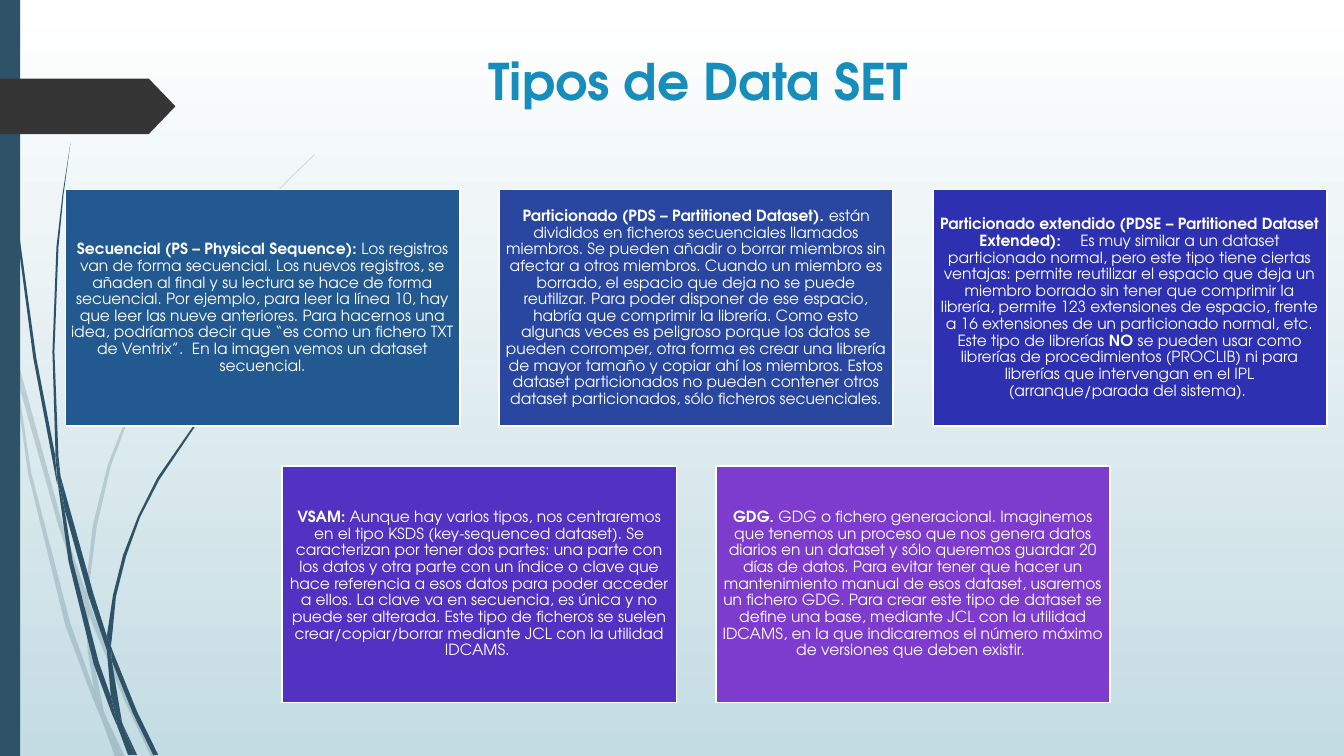
from lxml import etree
from pptx import Presentation, util as u
from pptx.dml.color import RGBColor
from pptx.enum import shapes, text
from pptx.oxml.ns import qn

HUES = {"top": "FFFFFF", "base": "C4DCE3", "stem": "2E5369", "arrow": "353535",
        "title": "168DBA", "white": "FFFFFF", "ps": "235991", "pds": "2947A0",
        "pdse": "2D30B1", "vsam": "5132C2", "gdg": "7D3CCD"}

PALE = [
    [(0.11, 3.5), (0.09, 3.22), (0, 2.82), (0, 2.99), (0.1, 3.44)],
    [(0.58, 5.22), (0.84, 5.99), (0.85, 5.86), (0.62, 5.2), (0.14, 3.45), (0.17, 3.76)],
    [(0.92, 6.07), (0.88, 5.96), (0.88, 6.1), (1.23, 6.94), (1.5, 7.51), (1.55, 7.51), (1.27, 6.92)],
    [(1.19, 7.51), (1.24, 7.51), (1.05, 7.11)],
    [(0.93, 6.83), (0.7, 6.19), (0.31, 4.69), (0.17, 3.76), (0.11, 3.5), (0.28, 4.7),
     (0.65, 6.21), (0.92, 6.93), (1.01, 7.14), (0.99, 7.07)],
    [(0.84, 5.99), (0.87, 6.46), (0.93, 6.83), (0.96, 6.92), (1.05, 7.11), (1.03, 7.06),
     (0.91, 6.46), (0.88, 6.1), (0.88, 6.08)],
    [(0.88, 5.84), (0.96, 5.22), (1.1, 4.62), (1.32, 4.04), (1.6, 3.49), (2.29, 2.45),
     (2.68, 1.98), (2.9, 1.75), (3.12, 1.54), (3.12, 1.53), (2.89, 1.75), (2.68, 1.97),
     (2.28, 2.44), (1.58, 3.48), (1.3, 4.03), (1.07, 4.61), (0.92, 5.22), (0.85, 5.84),
     (0.85, 5.86), (0.88, 5.96)],
    [(1.01, 7.14), (1.14, 7.51), (1.19, 7.51)],
    [(0.88, 6.08), (0.88, 6.1), (0.88, 5.96), (0.85, 5.86), (0.84, 5.99)],
    [(0.96, 6.92), (0.93, 6.83), (0.99, 7.07), (1.01, 7.14), (1.19, 7.51), (1.05, 7.11)],
]

DARK = [
    [(0.07, 1.1), (0.17, 2.33), (0.33, 3.55), (0.56, 4.77), (0.57, 4.81), (0.55, 4.57),
     (0.55, 4.53), (0.36, 3.55), (0.19, 2.32), (0.08, 1.09), (0.05, 0.48), (0.04, 0),
     (0.03, 0), (0.04, 0.48)],
    [(0.88, 5.92), (1.06, 6.45), (1.06, 6.33), (1.06, 6.31), (0.93, 5.9), (0.6, 4.72), (0.64, 5.05)],
    [(1.13, 6.49), (1.1, 6.41), (1.11, 6.56), (1.32, 7.08), (1.52, 7.49), (1.57, 7.49), (1.36, 7.06)],
    [(1.1, 6.91), (0.98, 6.57), (0.72, 5.56), (0.64, 5.05), (0.57, 4.77), (0.68, 5.57),
     (0.93, 6.59), (1.11, 7.08), (1.17, 7.22), (1.16, 7.17)],
    [(0.6, 4.72), (0.58, 4.53), (0.54, 3.49), (0.58, 2.45), (0.63, 1.93), (0.7, 1.41),
     (0.62, 1.93), (0.56, 2.45), (0.52, 3.49), (0.55, 4.49)],
    [(1.33, 7.49), (1.36, 7.49), (1.22, 7.19)],
    [(0.57, 4.77), (0.64, 5.05), (0.6, 4.72), (0.55, 4.49), (0.55, 4.53)],
    [(1.11, 6.33), (1.15, 5.92), (1.25, 5.52), (1.39, 5.13), (1.58, 4.76), (2.05, 4.06),
     (2.31, 3.74), (2.45, 3.59), (2.61, 3.44), (2.6, 3.44), (2.45, 3.58), (2.31, 3.73),
     (2.04, 4.05), (1.56, 4.74), (1.37, 5.12), (1.22, 5.51), (1.12, 5.91), (1.06, 6.31),
     (1.1, 6.41)],
    [(1.17, 7.22), (1.27, 7.49), (1.31, 7.49)],
    [(1.06, 6.45), (1.1, 6.91), (1.16, 7.06), (1.22, 7.19), (1.21, 7.16), (1.11, 6.56), (1.09, 6.51)],
    [(1.06, 6.45), (1.09, 6.51), (1.11, 6.56), (1.1, 6.41), (1.06, 6.31), (1.06, 6.33)],
    [(1.16, 7.06), (1.1, 6.91), (1.16, 7.17), (1.17, 7.22), (1.3, 7.49), (1.33, 7.49), (1.22, 7.19)],
]

ROWS = [
    (0.65, 1.88, [
        ("ps", [
            ("Secuencial (PS – Physical Sequence): ", True),
            ("Los registros van de forma secuencial. Los nuevos registros, se añaden al final y su "
             "lectura se hace de forma secuencial. Por ejemplo, para leer la línea 10, hay que leer "
             "las nueve anteriores. Para hacernos una idea, podríamos decir que “es como un fichero "
             "TXT de Ventrix”.  En la imagen vemos un dataset secuencial.", False)]),
        ("pds", [
            ("Particionado (PDS – Partitioned Dataset). ", True),
            ("están divididos en ficheros secuenciales llamados miembros. Se pueden añadir o borrar "
             "miembros sin afectar a otros miembros. Cuando un miembro es borrado, el espacio que "
             "deja no se puede reutilizar. Para poder disponer de ese espacio, habría que comprimir "
             "la librería. Como esto algunas veces es peligroso porque los datos se pueden corromper, "
             "otra forma es crear una librería de mayor tamaño y copiar ahí los miembros. Estos "
             "dataset particionados no pueden contener otros dataset particionados, sólo ficheros "
             "secuenciales.", False)]),
        ("pdse", [
            ("Particionado extendido (PDSE – Partitioned Dataset Extended): \t", True),
            ("Es muy similar a un dataset particionado normal, pero este tipo tiene ciertas ventajas: "
             "permite reutilizar el espacio que deja un miembro borrado sin tener que comprimir la "
             "librería, permite 123 extensiones de espacio, frente a 16 extensiones de un "
             "particionado normal, etc. Este tipo de librerías ", False),
            ("NO", True),
            (" se pueden usar como librerías de procedimientos (PROCLIB) ni para librerías que "
             "intervengan en el IPL (arranque/parada del sistema). ", False)])]),
    (2.8, 4.62, [
        ("vsam", [
            ("VSAM: ", True),
            ("Aunque hay varios tipos, nos centraremos en el tipo KSDS (key-sequenced dataset). Se "
             "caracterizan por tener dos partes: una parte con los datos y otra parte con un índice "
             "o clave que hace referencia a esos datos para poder acceder a ellos. La clave va en "
             "secuencia, es única y no puede ser alterada. Este tipo de ficheros se suelen "
             "crear/copiar/borrar mediante JCL con la utilidad IDCAMS. ", False)]),
        ("gdg", [
            ("GDG. ", True),
            ("GDG o fichero generacional. Imaginemos que tenemos un proceso que nos genera datos "
             "diarios en un dataset y sólo queremos guardar 20 días de datos. Para evitar tener que "
             "hacer un mantenimiento manual de esos dataset, usaremos un fichero GDG. Para crear "
             "este tipo de dataset se define una base, mediante JCL con la utilidad IDCAMS, en la "
             "que indicaremos el número máximo de versiones que deben existir. ", False)])]),
]


class Deck:
    face = "TeX Gyre Adventor"

    def __init__(self):
        self.show = Presentation()
        self.show.slide_width = u.Inches(13.33)
        self.show.slide_height = u.Inches(7.5)
        self.slide = self.show.slides.add_slide(self.show.slide_layouts[5])

    def tint(self, hue):
        return RGBColor.from_string(HUES[hue])

    def ground(self):
        fill = self.slide.background.fill
        fill.gradient()
        fill.gradient_angle = 270
        for stop, hue in zip(fill.gradient_stops, ("top", "base")):
            stop.color.rgb = self.tint(hue)

    def paint(self, shape, hue):
        shape.shadow.inherit = False
        shape.fill.solid()
        shape.fill.fore_color.rgb = self.tint(hue)
        shape.line.fill.background()

    def block(self, kind, left, top, width, height, hue):
        shape = self.slide.shapes.add_shape(
            kind, u.Inches(left), u.Inches(top), u.Inches(width), u.Inches(height))
        self.paint(shape, hue)
        return shape

    def blade(self, edge, alpha=None):
        spots = [(u.Inches(x), u.Inches(y)) for x, y in edge]
        form = self.slide.shapes.build_freeform(*spots[0])
        form.add_line_segments(spots[1:])
        shape = form.convert_to_shape()
        self.paint(shape, "stem")
        if alpha:
            shade = shape.fill._xPr.find(qn("a:solidFill"))[0]
            etree.SubElement(shade, qn("a:alpha")).set("val", str(alpha * 1000))

    def style(self, run, size, hue, bold):
        run.font.name = self.face
        run.font.size = u.Pt(size)
        run.font.bold = bold
        run.font.color.rgb = self.tint(hue)

    def title(self, words):
        head = self.slide.shapes.title
        head.left, head.top = u.Inches(2.05), u.Inches(0.45)
        head.width, head.height = u.Inches(9.75), u.Inches(0.81)
        frame = head.text_frame
        frame.text = words
        frame.vertical_anchor = text.MSO_ANCHOR.TOP
        frame.auto_size = text.MSO_AUTO_SIZE.NONE
        frame.paragraphs[0].alignment = text.PP_ALIGN.CENTER
        self.style(frame.paragraphs[0].runs[0], 36, "title", True)

    def card(self, left, top, hue, parts):
        box = self.block(shapes.MSO_SHAPE.RECTANGLE, left, top, 3.91, 2.35, hue)
        box.line.color.rgb = self.tint("white")
        box.line.width = u.Pt(1.25)
        frame = box.text_frame
        frame.word_wrap = True
        frame.vertical_anchor = text.MSO_ANCHOR.MIDDLE
        frame.margin_left = frame.margin_right = u.Inches(0.05)
        frame.margin_top = frame.margin_bottom = u.Inches(0.05)
        para = frame.paragraphs[0]
        para.alignment = text.PP_ALIGN.CENTER
        para.line_spacing = 0.9
        for words, bold in parts:
            run = para.add_run()
            run.text = words
            self.style(run, 11, "white", bold)


def main():
    deck = Deck()
    deck.ground()
    for edge in PALE:
        deck.blade(edge, 20)
    for edge in DARK:
        deck.blade(edge)
    deck.block(shapes.MSO_SHAPE.RECTANGLE, 0, 0, 0.2, 7.5, "stem")
    arrow = deck.block(shapes.MSO_SHAPE.PENTAGON, 0, 0.78, 1.74, 0.55, "arrow")
    arrow.adjustments[0] = 0.48
    deck.title("Tipos de Data SET")
    for left, top, cards in ROWS:
        for i, (hue, parts) in enumerate(cards):
            deck.card(left + 4.3 * i, top, hue, parts)
    deck.show.save("out.pptx")


if __name__ == "__main__":
    main()
